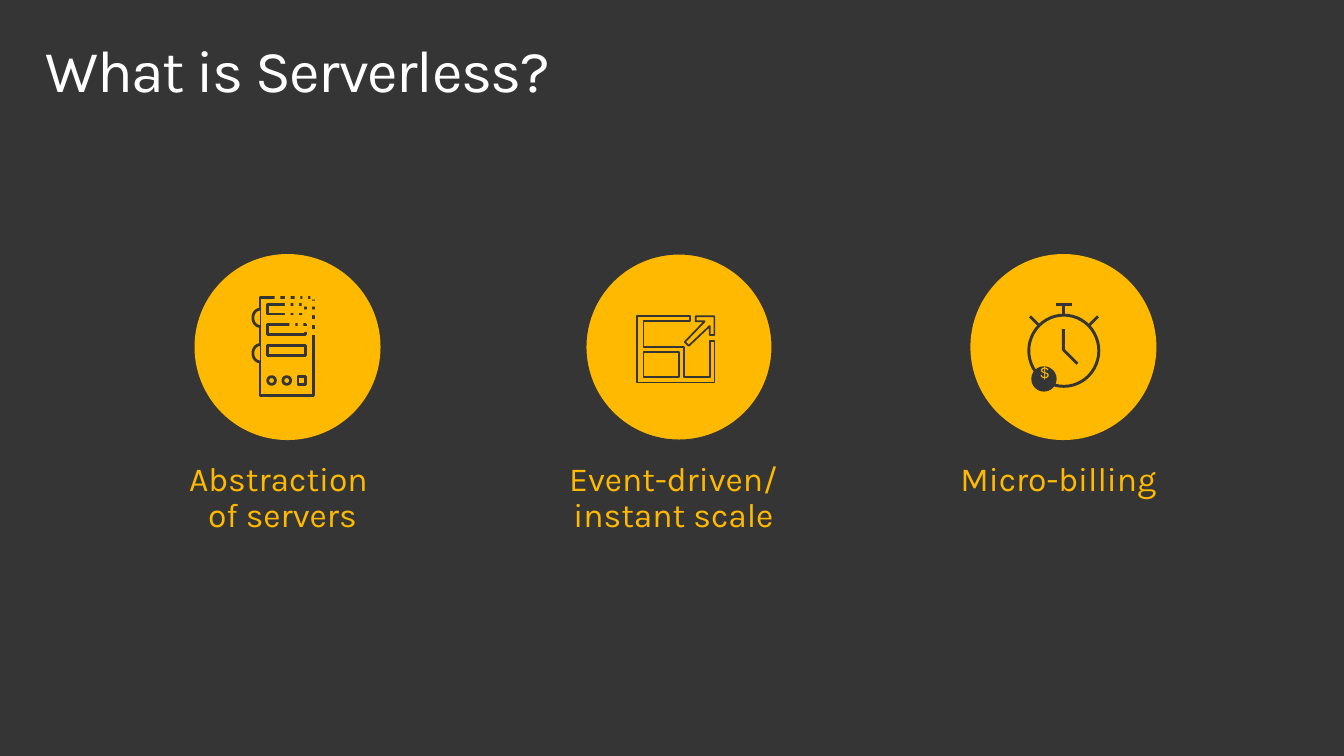
import math
from dataclasses import dataclass

import pptx
import pptx.dml.color
import pptx.enum.shapes
import pptx.enum.text
import pptx.oxml
import pptx.oxml.ns
import pptx.util

Cm = pptx.util.Cm
Pt = pptx.util.Pt
MSO_SHAPE = pptx.enum.shapes.MSO_SHAPE
PP_ALIGN = pptx.enum.text.PP_ALIGN


@dataclass(frozen=True)
class Theme:
    """Colours, font, type sizes and line widths of the slide."""
    dark: str = "353535"
    accent: str = "FFB900"
    white: str = "FFFFFF"
    font: str = "Karla"
    title: float = 43.2
    label: float = 24.5
    coin: float = 12
    hairline: float = 0.75
    thin: float = 1.25
    medium: float = 2
    thick: float = 2.13


THEME = Theme()


def rgb(color):
    """Return a colour object for a hex string."""
    return pptx.dml.color.RGBColor.from_string(color)


def style(sp, fill=None, width=None):
    """Set the fill and the dark outline of a shape and drop its shadow."""
    sp.shadow.inherit = False
    if fill:
        sp.fill.solid()
        sp.fill.fore_color.rgb = rgb(fill)
    else:
        sp.fill.background()
    if width:
        sp.line.color.rgb = rgb(THEME.dark)
        sp.line.width = Pt(width)
    else:
        sp.line.fill.background()


def add_preset(shapes, kind, x, y, w, h, fill=None, width=None):
    """Add a preset shape placed in centimetres."""
    style(shapes.add_shape(kind, Cm(x), Cm(y), Cm(w), Cm(h)), fill, width)


def add_outline(shapes, contours, width, fill=None, close=True):
    """Add a freeform made of one or more contours in centimetres."""
    contours = [[(Cm(x), Cm(y)) for x, y in contour] for contour in contours]
    builder = shapes.build_freeform(*contours[0][0], scale=1.0)
    for i, contour in enumerate(contours):
        if i:
            builder.move_to(*contour[0])
        builder.add_line_segments(contour[1:], close=close)
    style(builder.convert_to_shape(), fill, width)


def add_line(shapes, x1, y1, x2, y2):
    """Add a thick dark straight line."""
    line = shapes.add_connector(pptx.enum.shapes.MSO_CONNECTOR.STRAIGHT,
                                Cm(x1), Cm(y1), Cm(x2), Cm(y2))
    line.line.color.rgb = rgb(THEME.dark)
    line.line.width = Pt(THEME.thick)
    line._element.spPr.append(pptx.oxml.parse_xml(
        f'<a:effectLst {pptx.oxml.ns.nsdecls("a")}/>'))


def add_text(shapes, text, box, insets, size, color,
             align=PP_ALIGN.LEFT, wrap=True, after=0):
    """Add a one-paragraph text box and return its paragraph."""
    tf = shapes.add_textbox(*map(Cm, box)).text_frame
    tf.word_wrap = wrap
    tf.margin_left, tf.margin_top, tf.margin_right, tf.margin_bottom = map(Cm, insets)
    p = tf.paragraphs[0]
    p.text = text
    p.alignment = align
    p.line_spacing = 0.9
    p.space_after = Pt(after)
    p.font.name = THEME.font
    p.font.size = Pt(size)
    p.font.color.rgb = rgb(color)
    return p


def add_title(shapes, text):
    """Add the slide title with tightened letter spacing."""
    p = add_text(shapes, text, (0.76, 0.81, 33.02, 2.54),
                 (0.41, 0.25, 0.41, 0.25), THEME.title, THEME.white)
    p._p.get_or_add_pPr().get_or_add_defRPr().set("spc", "-100")


def add_label(shapes, text, x, w, h):
    """Add the centred caption under an icon."""
    add_text(shapes, text, (x, 11.48, w, h), (0.25, 0.41, 0.51, 0.41),
             THEME.label, THEME.accent, PP_ALIGN.CENTER, after=12.2)


def add_badge(slide, x, width=None):
    """Add a group holding the round icon background and return its shapes."""
    shapes = slide.shapes.add_group_shape().shapes
    add_preset(shapes, MSO_SHAPE.OVAL, x, 6.53, 4.78, 4.78, THEME.accent, width)
    return shapes


def add_server_icon(slide):
    """Draw a server whose top right corner dissolves into pixels."""
    shapes = add_badge(slide, 5)
    look = THEME.accent, THEME.medium
    add_preset(shapes, MSO_SHAPE.RECTANGLE, 6.68, 7.65, 1.37, 2.51, *look)
    for i in range(3):
        add_preset(shapes, MSO_SHAPE.RECTANGLE, 6.88, 7.82 + 0.53 * i, 0.97, 0.25, *look)
    angles = [math.radians(a) for a in range(90, 271, 10)]
    for y in (8.17, 9.08):
        handle = [(6.68 + 0.18 * math.cos(a), y + 0.22 * math.sin(a)) for a in angles]
        add_outline(shapes, [handle], THEME.medium, THEME.accent, close=False)
    for i, kind in enumerate((MSO_SHAPE.OVAL, MSO_SHAPE.OVAL, MSO_SHAPE.RECTANGLE)):
        add_preset(shapes, kind, 6.88 + 0.39 * i, 9.68, 0.2, 0.2, *look)
    pixel_rows = {
        7.55: (7.06, 7.32, 7.57, 7.77, 7.98),
        7.73: (7.32, 7.54, 7.75, 8),
        7.95: (7.77, 8),
        8.01: (7.32, 7.54, 7.77),
        8.2: (7.98,),
        8.28: (7.44, 7.65),
        8.38: (7.77,),
        8.46: (7.98,),
    }
    for y, columns in pixel_rows.items():
        for x in columns:
            add_preset(shapes, MSO_SHAPE.RECTANGLE, x, y, 0.15, 0.15, THEME.accent)


def add_scale_icon(slide):
    """Draw a panelled frame with an arrow growing out of its corner."""
    shapes = add_badge(slide, 15.06, THEME.hairline)
    frame = [(18.24, 9.7), (17.58, 9.7), (17.58, 8.92), (16.54, 8.92),
             (16.54, 8.26), (17.73, 8.26), (17.73, 8.13), (16.38, 8.13),
             (16.38, 9.83), (18.36, 9.83), (18.36, 8.76), (18.24, 8.76)]
    panel = [(16.54, 9.04), (17.45, 9.04), (17.45, 9.7), (16.54, 9.7)]
    arrow = [(17.88, 8.26), (18.11, 8.26), (17.6, 8.79), (17.7, 8.89), (18.24, 8.38),
             (18.24, 8.61), (18.36, 8.61), (18.36, 8.13), (17.88, 8.13)]
    for contours in ([frame, panel], [arrow]):
        add_outline(shapes, contours, THEME.thin, THEME.accent)


def add_stopwatch_icon(slide):
    """Draw a stopwatch with a dollar coin."""
    shapes = add_badge(slide, 24.94)
    hands = [(27.33, 8.46), (27.33, 8.99), (27.69, 9.35)]
    add_outline(shapes, [hands], THEME.thick, close=False)
    add_preset(shapes, MSO_SHAPE.OVAL, 26.44, 8.1, 1.8, 1.83, width=THEME.thick)
    for ends in ((27.13, 7.82, 27.56, 7.82), (27.33, 8.1, 27.33, 7.82),
                 (28.22, 8.13, 27.97, 8.38), (26.47, 8.13, 26.72, 8.38)):
        add_line(shapes, *ends)
    add_preset(shapes, MSO_SHAPE.OVAL, 26.54, 9.45, 0.58, 0.58, THEME.dark, THEME.medium)
    add_text(shapes, "$", (26.21, 9.12, 1.27, 1.27), (0.51, 0.41, 0.51, 0.41),
             THEME.coin, THEME.accent, wrap=False, after=6)


def main():
    """Build the slide and save it."""
    prs = pptx.Presentation()
    prs.slide_width, prs.slide_height = Cm(34.54), Cm(19.43)
    slide = prs.slides.add_slide(prs.slide_layouts[6])
    slide.background.fill.solid()
    slide.background.fill.fore_color.rgb = rgb(THEME.dark)
    add_title(slide.shapes, "What is Serverless?")
    add_server_icon(slide)
    add_scale_icon(slide)
    add_stopwatch_icon(slide)
    add_label(slide.shapes, "Abstraction \vof servers", 3.73, 7.32, 2.77)
    add_label(slide.shapes, "Event-driven/ instant scale", 13.67, 7.54, 2.77)
    add_label(slide.shapes, "Micro-billing", 23.85, 6.96, 1.83)
    prs.save("out.pptx")


if __name__ == "__main__":
    main()
